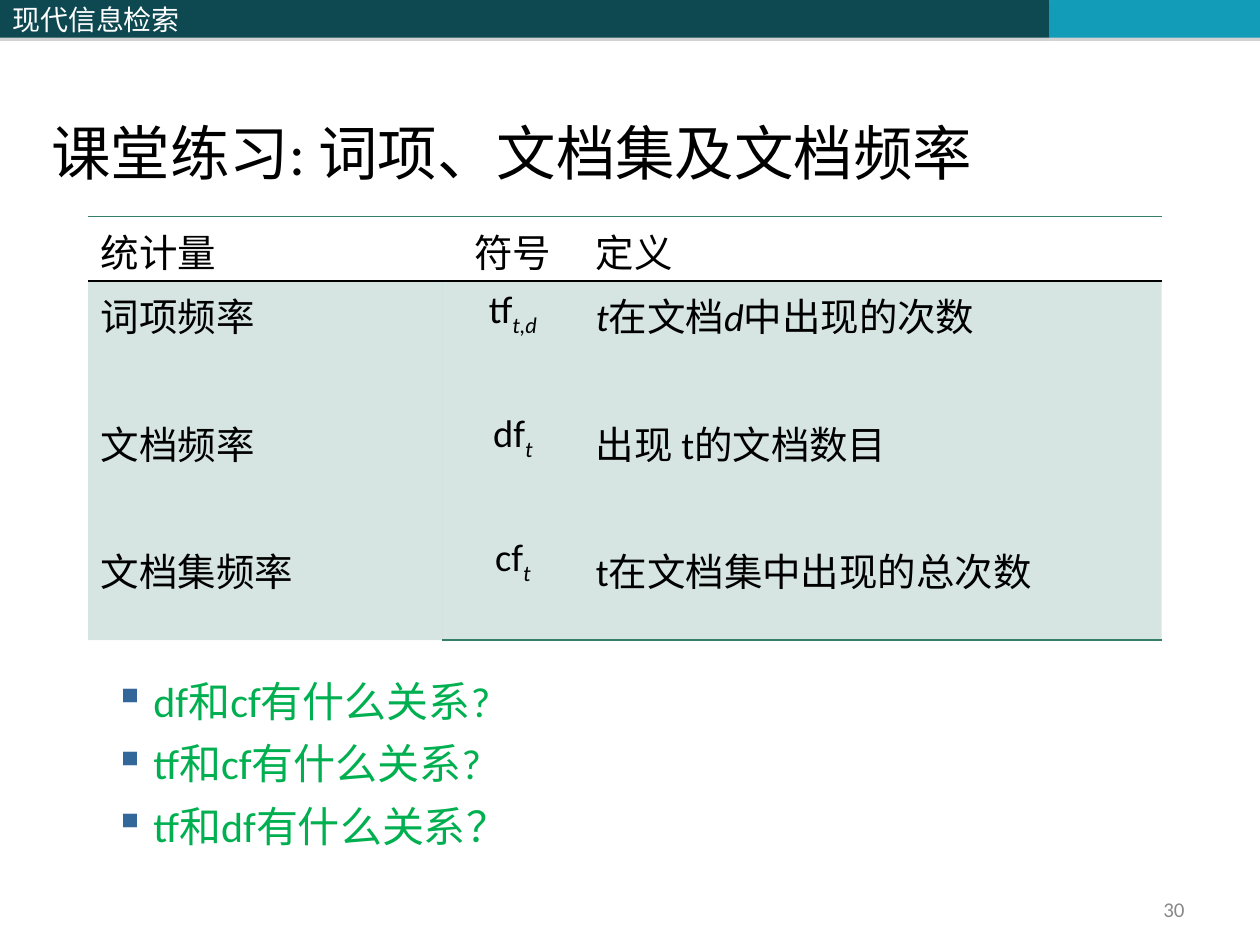
from pptx import Presentation
from pptx.dml.color import RGBColor
from pptx.enum.shapes import MSO_SHAPE
from pptx.enum.text import MSO_ANCHOR, PP_ALIGN
from pptx.oxml.ns import qn
from pptx.util import Inches, Pt
from lxml.etree import SubElement

INK = {"dark": "0E4851", "cyan": "139CB7", "white": "FFFFFF", "black": "000000",
       "green": "00B050", "grey": "898989", "mark": "336699", "teal": "357E69",
       "shade": "808080"}
WIDE, HIGH = 10, 7.5
CJK = "Noto Sans CJK SC"

# (share of the width, colour, text)
BARS = [(0.408, "dark", "现代信息检索"), (0.425, "dark", ""), (0.167, "cyan", "")]
TITLE = "课堂练习: 词项、文档集及文档频率"
ASKS = ["df和cf有什么关系?", "tf和cf有什么关系?", "tf和df有什么关系？"]
PAGE = "30"

# A line is a string or a list of (text, style): i = italic, s = subscript
HEAD = [["统计量"], ["符号"], ["定义"]]
BODY = [
    ["词项频率", "文档频率", "文档集频率"],
    [[("tf", ""), ("t,d", "is")], [("df", ""), ("t", "is")], [("cf", ""), ("t", "is")]],
    [[("t", "i"), ("在文档", ""), ("d", "i"), ("中出现的次数", "")],
     "出现 t的文档数目", "t在文档集中出现的总次数"],
]
COLS = [2.81, 1.12, 4.59]
ROWS = [0.51, 2.85]
ALIGN = [PP_ALIGN.LEFT, PP_ALIGN.CENTER, PP_ALIGN.LEFT]


def rgb(name):
    return RGBColor.from_string(INK[name])


def put(frame, lines, size=22, ink="black", font="Calibri", align=PP_ALIGN.LEFT,
        anchor=MSO_ANCHOR.TOP, gap=0, mark=None):
    """Fill a text frame; gap is the space between lines, mark the bullet."""
    frame.word_wrap = True
    frame.vertical_anchor = anchor
    for n, line in enumerate(lines):
        para = frame.add_paragraph() if n else frame.paragraphs[0]
        para.alignment = align
        para.space_before = Pt(gap if n else min(gap, 7))
        if mark:
            bullet(para, mark)
        for text, style in [(line, "")] if isinstance(line, str) else line:
            run = para.add_run()
            run.text = text
            face = run.font
            face.size, face.name, face.italic = Pt(size), font, "i" in style
            face.color.rgb = rgb(ink)
            props = run._r.get_or_add_rPr()
            props.set("lang", "zh-CN")
            if "s" in style:
                props.set("baseline", "-25000")
            SubElement(props, qn("a:ea"), typeface=CJK)


def bullet(para, mark):
    props = para._p.get_or_add_pPr()
    props.set("marL", str(Inches(0.81)))
    props.set("indent", str(Inches(-0.31)))
    tint = SubElement(props, qn("a:buClr"))
    SubElement(tint, qn("a:srgbClr"), val=INK["mark"])
    SubElement(props, qn("a:buChar"), char=mark)


def box(slide, left, top, width, height, lines, **form):
    area = slide.shapes.add_textbox(*map(Inches, (left, top, width, height)))
    put(area.text_frame, lines, **form)


def bar(slide, left, width, ink, text):
    rect = slide.shapes.add_shape(MSO_SHAPE.RECTANGLE, Inches(left), 0,
                                  Inches(width), Inches(0.3))
    rect.fill.solid()
    rect.fill.fore_color.rgb = rgb(ink)
    rect.line.fill.background()
    rect.shadow.inherit = False
    fx = rect._element.spPr.find(qn("a:effectLst"))
    drop = SubElement(fx, qn("a:outerShdw"), blurRad="0", dist=str(Pt(1.8)),
                      dir="5400000", rotWithShape="0")
    tone = SubElement(drop, qn("a:srgbClr"), val=INK["shade"])
    SubElement(tone, qn("a:alpha"), val="35000")
    if text:
        put(rect.text_frame, [text], size=16, ink="white", font=CJK,
            anchor=MSO_ANCHOR.MIDDLE)


def edge(cell, **inks):
    """Draw the named sides (T, B) of a cell and clear the others."""
    props = cell._tc.get_or_add_tcPr()
    for side in "LRTB":
        line = SubElement(props, qn("a:ln" + side), w=str(Pt(1)))
        if side in inks:
            fill = SubElement(line, qn("a:solidFill"))
            SubElement(fill, qn("a:srgbClr"), val=INK[inks[side]])
        else:
            SubElement(line, qn("a:noFill"))


def tint(cell, ink, share):
    cell.fill.solid()
    cell.fill.fore_color.rgb = rgb(ink)
    tone = cell._tc.tcPr.find(qn("a:solidFill"))[0]
    SubElement(tone, qn("a:alpha"), val=str(share * 1000))


def grid(slide):
    table = slide.shapes.add_table(2, 3, Inches(0.7), Inches(1.72),
                                   Inches(sum(COLS)), Inches(sum(ROWS))).table
    table.first_row = table.horz_banding = False
    for row, high in zip(table.rows, ROWS):
        row.height = Inches(high)
    for c, wide in enumerate(COLS):
        table.columns[c].width = Inches(wide)
        head, body = table.cell(0, c), table.cell(1, c)
        edge(head, T="teal", B="black")
        head.fill.background()
        put(head.text_frame, HEAD[c], align=ALIGN[c])
        edge(body, T="black", **({"B": "teal"} if c else {}))
        tint(body, "teal", 20)
        put(body.text_frame, BODY[c], align=ALIGN[c], gap=41)


def main():
    deck = Presentation()
    deck.slide_width, deck.slide_height = Inches(WIDE), Inches(HIGH)
    slide = deck.slides.add_slide(deck.slide_layouts[6])
    left = 0
    for share, ink, text in BARS:
        bar(slide, left, share * WIDE, ink, text)
        left += share * WIDE
    box(slide, 0.31, 0.01, 9.69, 1.53, [TITLE], size=34, anchor=MSO_ANCHOR.BOTTOM)
    grid(slide)
    box(slide, 0.31, 5.31, 9.06, 2.66, ASKS, size=24, ink="green", gap=7, mark="▪")
    box(slide, 7.17, 7.08, 2.33, 0.27, [PAGE], size=12, ink="grey",
        align=PP_ALIGN.RIGHT, anchor=MSO_ANCHOR.MIDDLE)
    deck.save("out.pptx")


if __name__ == "__main__":
    main()
